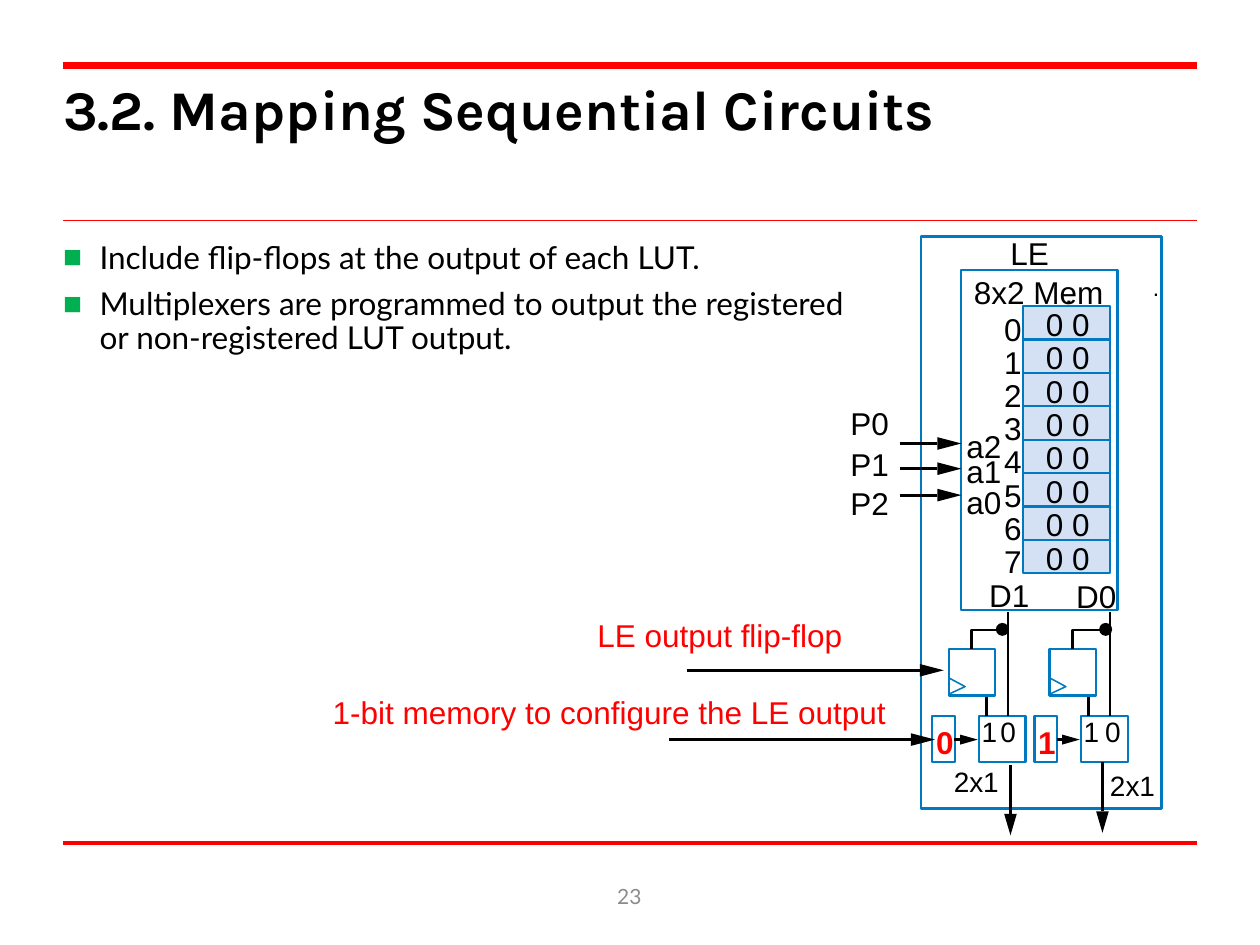
from lxml import etree
from pptx import Presentation
from pptx.dml.color import RGBColor
from pptx.enum.shapes import MSO_CONNECTOR, MSO_SHAPE
from pptx.enum.text import MSO_ANCHOR, MSO_AUTO_SIZE, PP_ALIGN
from pptx.oxml.ns import qn
from pptx.util import Inches, Pt

COLORS = {name: RGBColor.from_string(value) for name, value in {
    "black": "000000", "red": "FF0000", "blue": "0079C1",
    "cell": "D4E0F3", "gray": "8C8C8C"}.items()}
BULLET_COLOR = "00B050"

deck = Presentation()
deck.slide_width, deck.slide_height = Inches(10), Inches(7.5)
page = deck.slides.add_slide(deck.slide_layouts[1])
shapes = page.shapes


def add_label(text, left, top, width, height=0.36, size=18, color="black", bold=False):
    box = shapes.add_textbox(Inches(left), Inches(top), Inches(width), Inches(height))
    frame = box.text_frame
    frame.margin_left = frame.margin_right = frame.margin_top = frame.margin_bottom = 0
    frame.word_wrap = False
    frame.auto_size = MSO_AUTO_SIZE.SHAPE_TO_FIT_TEXT
    frame.text = text
    font = frame.paragraphs[0].runs[0].font
    font.name, font.size, font.bold = "Arial", Pt(size), bold
    font.color.rgb = COLORS[color]
    return box


def add_outline(points, line=None, width=1.25, fill=None, close=False):
    """Draw a freeform through points given in inches."""
    corners = [(Inches(x), Inches(y)) for x, y in points]
    builder = shapes.build_freeform(*corners[0])
    builder.add_line_segments(corners[1:], close=close)
    outline = builder.convert_to_shape()
    outline.shadow.inherit = False
    if fill:
        outline.fill.solid()
        outline.fill.fore_color.rgb = COLORS[fill]
    else:
        outline.fill.background()
    if line:
        outline.line.color.rgb = COLORS[line]
        outline.line.width = Pt(width)
    else:
        outline.line.fill.background()


# Title and list
title, body = shapes.title, page.placeholders[1]
title.left, title.top, title.width, title.height = map(Inches, (0.5, 0.59, 8.99, 1))
body.left, body.top, body.width, body.height = map(Inches, (0.5, 1.92, 6.38, 1.61))
title.text_frame.text = "3.2. Mapping Sequential Circuits"
body.text_frame.text = (
    "Include flip-flops at the output of each LUT.\n"
    "Multiplexers are programmed to output the registered or non-registered LUT output.")
for holder, font_name, size in ((title, "Karla", 32), (body, "Lato", 18)):
    frame = holder.text_frame
    frame.margin_left = frame.margin_right = frame.margin_top = frame.margin_bottom = 0
    frame.vertical_anchor = MSO_ANCHOR.TOP
    frame.auto_size = MSO_AUTO_SIZE.NONE
    frame.word_wrap = True
    for para in frame.paragraphs:
        para.alignment = PP_ALIGN.LEFT
        for span in para.runs:
            span.font.name, span.font.size = font_name, Pt(size)
            span.font.bold = holder is title
            span.font.color.rgb = COLORS["black"]
for para in body.text_frame.paragraphs:
    properties = para._p.get_or_add_pPr()
    properties.set("marL", str(Inches(0.29)))
    properties.set("indent", str(-Inches(0.29)))
    bullet_color = etree.SubElement(properties, qn("a:buClr"))
    etree.SubElement(bullet_color, qn("a:srgbClr")).set("val", BULLET_COLOR)
    etree.SubElement(properties, qn("a:buChar")).set("char", "■")
    para.line_spacing = 0.9
    para.space_before, para.space_after = Pt(0), Pt(7.2)

# Boxes: left, top, width, height, line width, fill
ROWS = 8
MEMORY_TOP, ROW_HEIGHT = 2.43, 0.265
boxes = [
    (7.31, 1.88, 1.91, 4.54, 1.63, None),  # logic element
    (7.63, 2.14, 1.24, 2.7, 1.25, None),  # lookup table
    (8.12, MEMORY_TOP, 0.69, ROWS * ROW_HEIGHT, 1.25, "cell"),
]
for flip_flop, bit, multiplexer in ((7.53, 7.4, 7.77), (8.33, 8.21, 8.58)):
    boxes += [(flip_flop, 5.15, 0.37, 0.37, 1.25, None),
              (bit, 5.68, 0.18, 0.37, 1.25, None),
              (multiplexer, 5.68, 0.37, 0.37, 1.25, None)]
    add_outline([(flip_flop, 5.51), (flip_flop + 0.13, 5.45), (flip_flop, 5.38)],
                line="blue", width=0.88)
for left, top, width, height, line_width, fill in boxes:
    box = shapes.add_shape(MSO_SHAPE.RECTANGLE, Inches(left), Inches(top),
                           Inches(width), Inches(height))
    box.shadow.inherit = False
    box.line.color.rgb = COLORS["blue"]
    box.line.width = Pt(line_width)
    if fill:
        box.fill.solid()
        box.fill.fore_color.rgb = COLORS[fill]
    else:
        box.fill.background()

# Lines: start x, start y, end x, end y, color, width
lines = [(0.5, y, 9.5, y, "red", width) for y, width in ((0.52, 4), (1.75, 1), (6.69, 2.5))]
for row in range(1, ROWS):
    y = MEMORY_TOP + row * ROW_HEIGHT
    lines.append((8.11, y, 8.81, y, "blue", 1.25))
for wire in (8, 8.81):
    lines.append((wire, 4.86, wire, 5.68, "black", 1.63))
for wire in (7.83, 8.64):
    lines.append((wire, 5.53, wire, 5.68, "black", 1.63))

# Arrows: start, tip, head length, half of head width
arrows = [((7.14, y), (7.63, y), 0.19, 0.05) for y in (3.52, 3.72, 3.93)]
arrows += [
    ((5.45, 5.32), (7.49, 5.32), 0.19, 0.05),
    ((5.31, 5.87), (7.42, 5.87), 0.19, 0.05),
    ((7.57, 5.87), (7.76, 5.87), 0.14, 0.04),
    ((8.39, 5.87), (8.57, 5.87), 0.14, 0.04),
    ((8.02, 6.07), (8.02, 6.63), 0.17, 0.05),
    ((8.75, 6.05), (8.75, 6.61), 0.17, 0.05),
]
for (start_x, start_y), (tip_x, tip_y), length, half in arrows:
    if start_y == tip_y:
        base_x, base_y = tip_x - length, tip_y
        corners = [(base_x, base_y - half), (base_x, base_y + half)]
    else:
        base_x, base_y = tip_x, tip_y - length
        corners = [(base_x - half, base_y), (base_x + half, base_y)]
    lines.append((start_x, start_y, base_x, base_y, "black", 1.63))
    add_outline([(tip_x, tip_y)] + corners, fill="black", close=True)

for start_x, start_y, end_x, end_y, color, width in lines:
    line = shapes.add_connector(MSO_CONNECTOR.STRAIGHT, Inches(start_x), Inches(start_y),
                                Inches(end_x), Inches(end_y))
    line.line.color.rgb = COLORS[color]
    line.line.width = Pt(width)
    etree.SubElement(line._element.spPr, qn("a:effectLst"))

# Branches from the lookup table outputs to the flip-flops
for left, dot_left in ((7.71, 7.91), (8.51, 8.73)):
    add_outline([(left, 5.15), (left, 5), (dot_left + 0.09, 5)], line="black", width=1.63)
    dot = shapes.add_shape(MSO_SHAPE.OVAL, Inches(dot_left), Inches(4.95),
                           Inches(0.09), Inches(0.09))
    dot.shadow.inherit = False
    dot.fill.solid()
    dot.fill.fore_color.rgb = dot.line.color.rgb = COLORS["black"]
    dot.line.width = Pt(0.88)

# Labels
for row in range(ROWS):
    add_label("0 0", 8.3, 2.42 + row * ROW_HEIGHT, 0.35, 0.3)
    add_label(str(row), 7.97, 2.46 + row * 0.263, 0.17)
for text, left, top, width in (
        ("LE", 8.02, 1.86, 0.37), ("8x2 Mem", 7.73, 2.17, 1.25), (".", 8.45, 2.17, 0.08),
        ("a2", 7.67, 3.39, 0.34), ("a1", 7.67, 3.59, 0.34), ("a0", 7.67, 3.83, 0.34),
        ("P0", 6.75, 3.21, 0.37), ("P1", 6.75, 3.53, 0.37), ("P2", 6.75, 3.84, 0.37),
        ("D1", 7.85, 4.57, 0.39), ("D0", 8.54, 4.58, 0.39)):
    add_label(text, left, top, width)
for text, left, top, width in (
        ("2x1", 7.57, 6.07, 0.36), ("2x1", 8.81, 6.1, 0.36),
        ("1", 7.79, 5.67, 0.12), ("0", 7.94, 5.67, 0.12),
        ("1", 8.6, 5.67, 0.12), ("0", 8.77, 5.67, 0.12)):
    add_label(text, left, top, width, 0.27, size=16)
add_label(".", 9.15, 2.17, 0.05, 0.23, size=13)
add_label("0", 7.43, 5.74, 0.17, color="red", bold=True)
add_label("1", 8.24, 5.74, 0.14, 0.3, color="red", bold=True)
for text, left, top, width in (
        ("LE output flip-flop", 4.74, 4.89, 2.05),
        ("1-bit memory to configure the LE output", 2.64, 5.5, 4.51)):
    add_label(text, left, top, width, 0.3, color="red").text_frame.word_wrap = True

page_number = add_label("23", 3.83, 6.91, 2.33, 0.4, size=12, color="gray").text_frame
page_number.auto_size = MSO_AUTO_SIZE.NONE
page_number.word_wrap = True
page_number.vertical_anchor = MSO_ANCHOR.MIDDLE
page_number.paragraphs[0].alignment = PP_ALIGN.CENTER
page_number.paragraphs[0].runs[0].font.name = "Lato"

deck.save("out.pptx")
